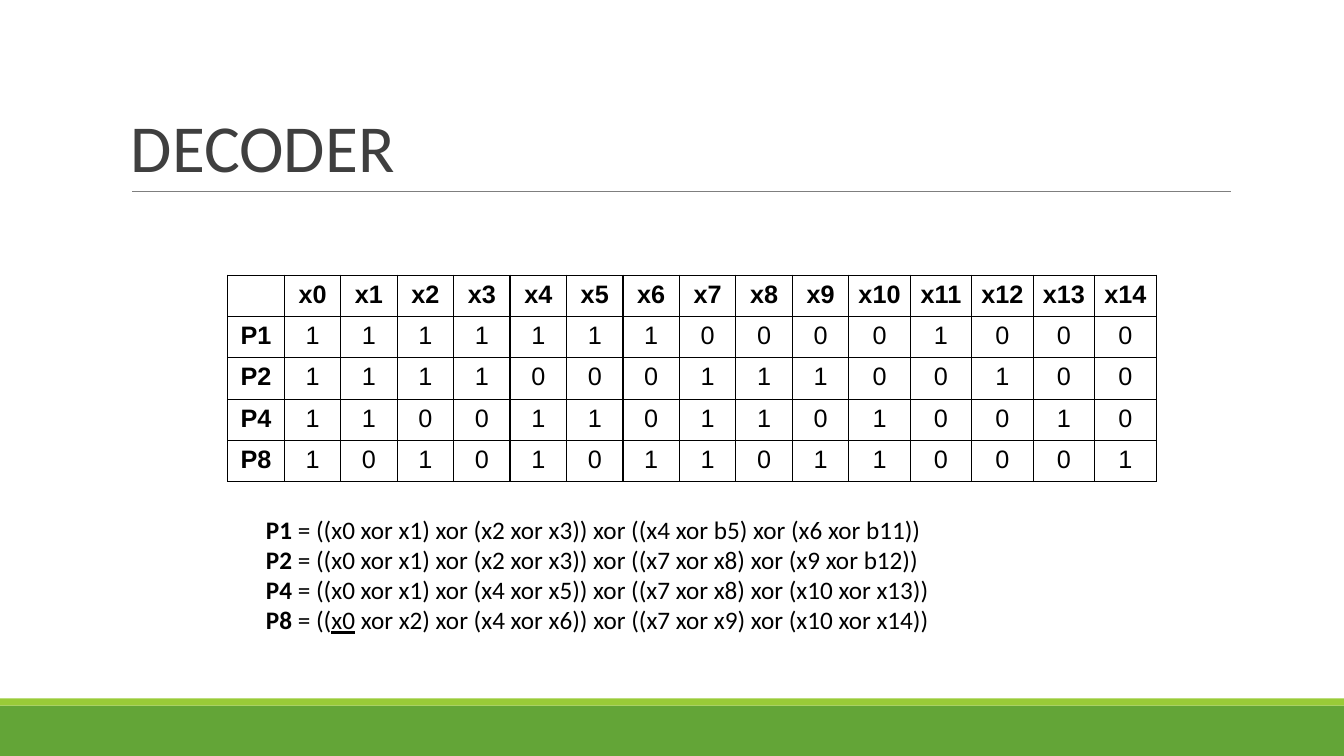
"""Build the DECODER slide: a parity table with its four equations."""
from dataclasses import dataclass
from typing import NamedTuple

from lxml import etree
from pptx import Presentation
from pptx import util as u
from pptx.dml import color
from pptx.enum import shapes, text
from pptx.oxml import ns


@dataclass(frozen=True)
class Theme:
    """Colours, fonts and type sizes of the slide."""
    green: str = "63A537"
    lime: str = "99CB38"
    rule: str = "7F7F7F"
    title: str = "3F3F3F"
    ink: str = "000000"
    text_font: str = "Calibri"
    table_font: str = "Arial"
    title_size: float = 48
    body_size: float = 18


class Band(NamedTuple):
    """A full-width bar at the foot of the slide."""
    top: float
    height: float
    fill: str


class Parity(NamedTuple):
    """A parity bit, its table row and its equation; underlined marks one term."""
    name: str
    bits: str
    equation: str
    underlined: str = ""


THEME = Theme()
WIDTH, HEIGHT = 13.33, 7.5
BANDS = [Band(7, 0.5, THEME.green), Band(6.93, 0.07, THEME.lime)]
PARITIES = [
    Parity("P1", "111111100001000", "((x0 xor x1) xor (x2 xor x3)) xor ((x4 xor b5) xor (x6 xor b11))"),
    Parity("P2", "111100011100100", "((x0 xor x1) xor (x2 xor x3)) xor ((x7 xor x8) xor (x9 xor b12))"),
    Parity("P4", "110011011010010", "((x0 xor x1) xor (x4 xor x5)) xor ((x7 xor x8) xor (x10 xor x13))"),
    Parity("P8", "101010110110001", "((x0 xor x2) xor (x4 xor x6)) xor ((x7 xor x9) xor (x10 xor x14))", "x0"),
]
BIT_COUNT = 15
NARROW, WIDE, ROW_HEIGHT = 0.56, 0.61, 0.41
CELL_MARGIN = 0.05


def style(span, font: str, size: float, ink: str, bold: bool = False) -> None:
    """Give a run its font, size, colour and weight."""
    span.font.name = font
    span.font.size = u.Pt(size)
    span.font.color.rgb = color.RGBColor.from_string(ink)
    span.font.bold = bold


def add_band(page, band: Band) -> None:
    """Draw one bar across the slide."""
    bar = page.shapes.add_shape(shapes.MSO_SHAPE.RECTANGLE, 0, u.Inches(band.top),
                                u.Inches(WIDTH), u.Inches(band.height))
    bar.shadow.inherit = False
    bar.fill.solid()
    bar.fill.fore_color.rgb = color.RGBColor.from_string(band.fill)
    bar.line.fill.background()


def add_rule(page) -> None:
    """Draw the thin line under the title."""
    rule = page.shapes.add_connector(shapes.MSO_CONNECTOR.STRAIGHT, u.Inches(1.31), u.Inches(1.9),
                                     u.Inches(12.21), u.Inches(1.9))
    rule.line.color.rgb = color.RGBColor.from_string(THEME.rule)
    rule.line.width = u.Pt(0.75)
    etree.SubElement(rule.element.spPr, ns.qn("a:effectLst"))


def add_box(page, left: float, top: float, width: float, height: float):
    """Add a wrapping text box and return its text frame."""
    box = page.shapes.add_textbox(*map(u.Inches, (left, top, width, height)))
    box.text_frame.word_wrap = True
    return box.text_frame


def add_title(page) -> None:
    """Write the title, resting on the rule."""
    frame = add_box(page, 1.2, 0.31, 11, 1.59)
    frame.vertical_anchor = text.MSO_ANCHOR.BOTTOM
    frame.text = "DECODER"
    para = frame.paragraphs[0]
    para.line_spacing = 0.85
    style(para.runs[0], THEME.text_font, THEME.title_size, THEME.title)


def add_borders(cell) -> None:
    """Rule all four sides of a cell."""
    properties = cell._tc.get_or_add_tcPr()
    for side in ("lnL", "lnR", "lnT", "lnB"):
        line = etree.SubElement(properties, ns.qn(f"a:{side}"), w=str(u.Pt(1)))
        fill = etree.SubElement(line, ns.qn("a:solidFill"))
        etree.SubElement(fill, ns.qn("a:srgbClr"), val=THEME.ink)


def add_parity_table(page) -> None:
    """Draw the table of data bits against parity bits."""
    rows = [["", *(f"x{index}" for index in range(BIT_COUNT))]]
    rows += [[parity.name, *parity.bits] for parity in PARITIES]
    widths = [NARROW if len(label) < 3 else WIDE for label in rows[0]]
    table = page.shapes.add_table(len(rows), len(widths), u.Inches(2.26), u.Inches(2.73),
                                  u.Inches(sum(widths)), u.Inches(ROW_HEIGHT * len(rows))).table
    table.first_row = table.horz_banding = False
    for column, width in zip(table.columns, widths):
        column.width = u.Inches(width)
    for row_index, values in enumerate(rows):
        table.rows[row_index].height = u.Inches(ROW_HEIGHT)
        for column_index, value in enumerate(values):
            cell = table.cell(row_index, column_index)
            cell.margin_left = cell.margin_right = u.Inches(CELL_MARGIN)
            add_borders(cell)
            cell.fill.background()
            if not value:
                continue
            cell.text_frame.text = value
            para = cell.text_frame.paragraphs[0]
            para.alignment = text.PP_ALIGN.CENTER
            heading = row_index == 0 or column_index == 0
            style(para.runs[0], THEME.table_font, THEME.body_size, THEME.ink, heading)


def add_equations(page) -> None:
    """Write one equation per parity bit, its name in bold."""
    frame = add_box(page, 2.54, 5.05, 8.77, 1.31)
    for index, parity in enumerate(PARITIES):
        para = frame.add_paragraph() if index else frame.paragraphs[0]
        pieces = [f" = {parity.equation}"]
        if parity.underlined:
            pieces = list(pieces[0].partition(parity.underlined))
        for piece in (parity.name, *pieces):
            span = para.add_run()
            span.text = piece
            style(span, THEME.text_font, THEME.body_size, THEME.ink, piece == parity.name)
            if piece == parity.underlined:
                span.font.underline = True


def main() -> None:
    """Build and save the deck."""
    deck = Presentation()
    deck.slide_width, deck.slide_height = u.Inches(WIDTH), u.Inches(HEIGHT)
    page = deck.slides.add_slide(deck.slide_layouts[6])
    for band in BANDS:
        add_band(page, band)
    add_rule(page)
    add_title(page)
    add_parity_table(page)
    add_equations(page)
    deck.save("out.pptx")


main()
